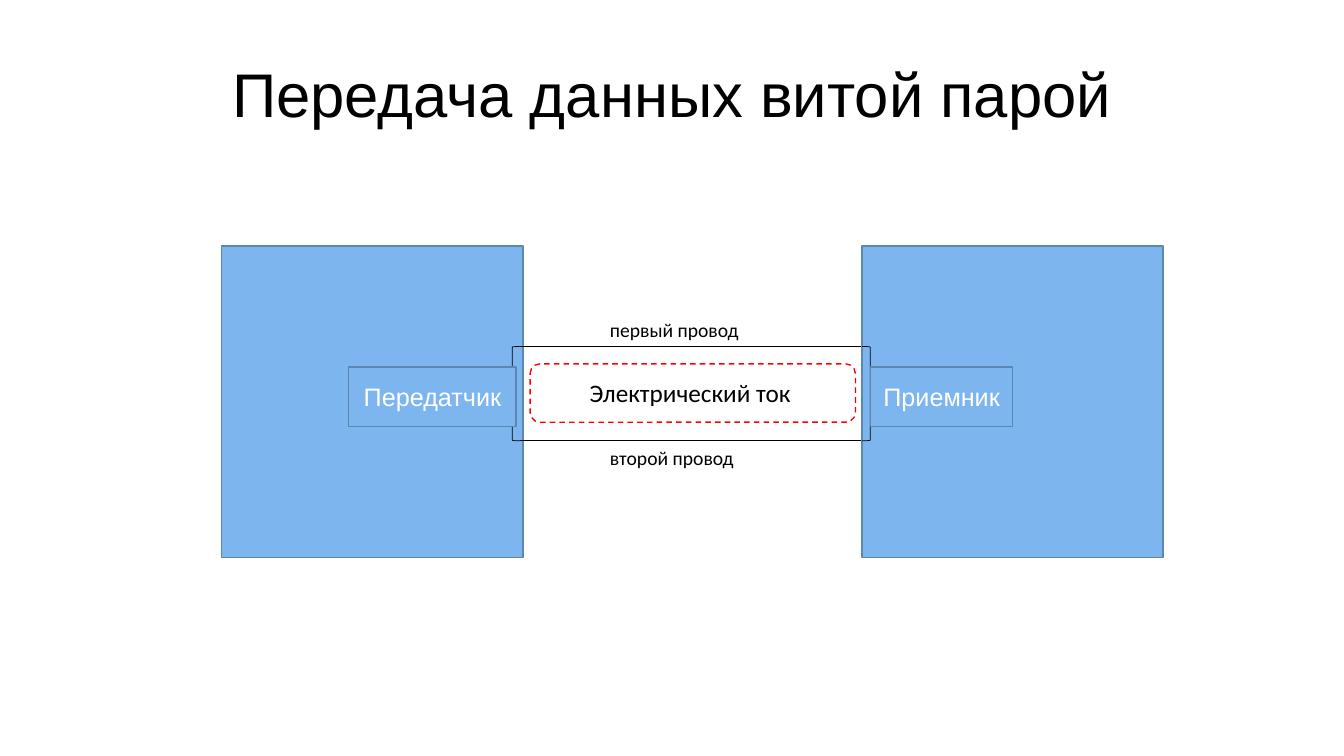
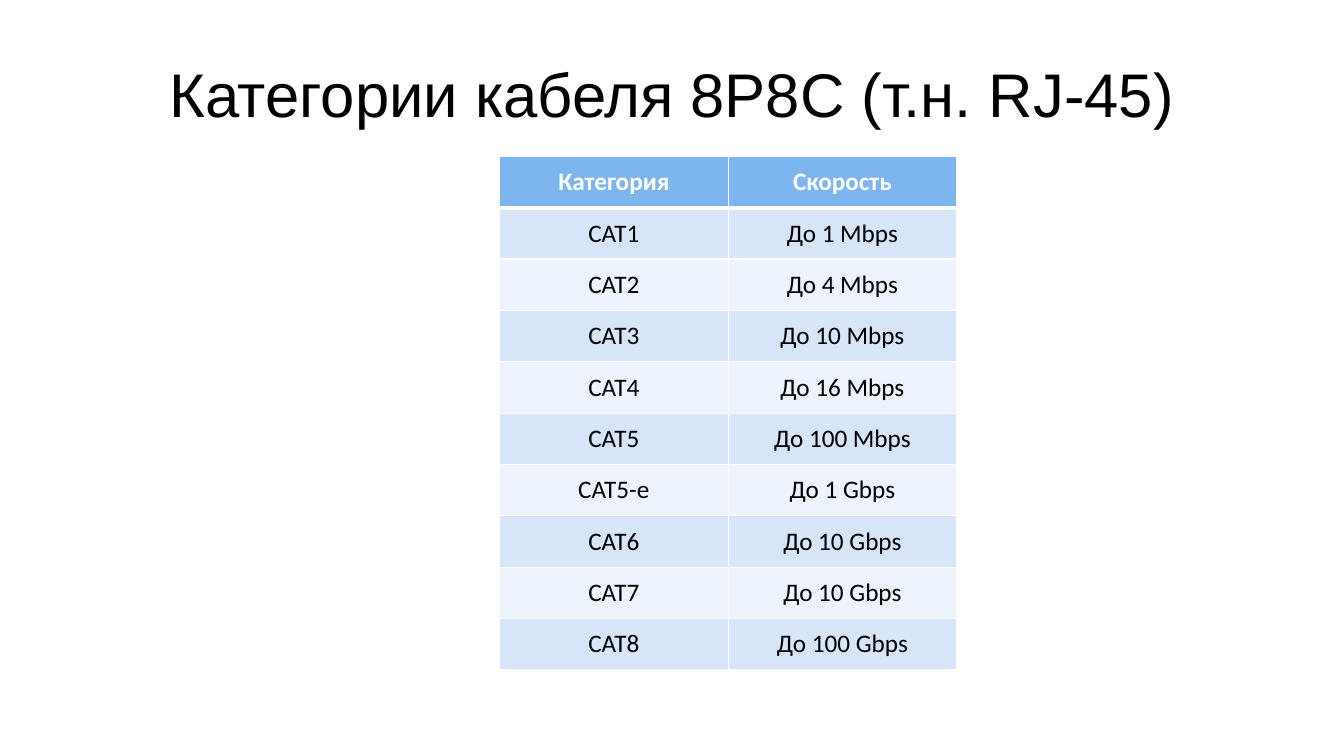
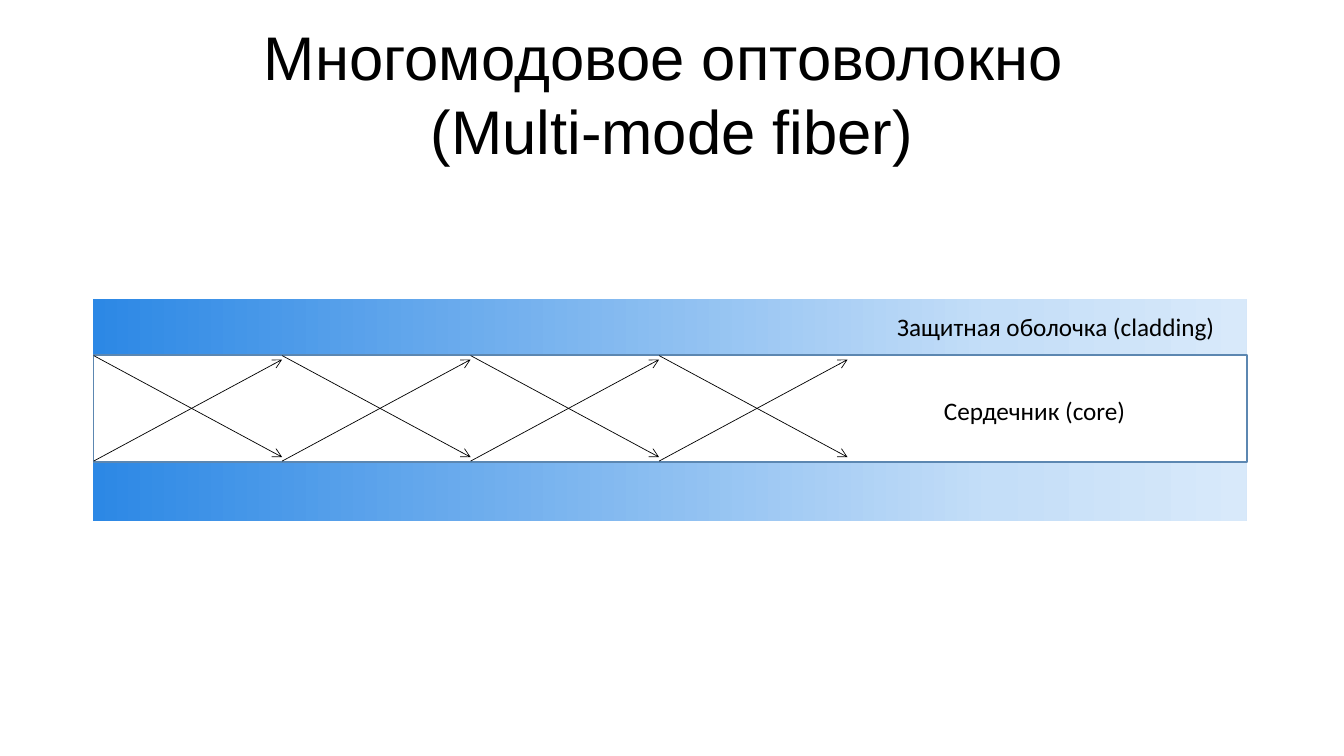
from copy import deepcopy
from lxml.etree import SubElement
from pptx import Presentation
from pptx.dml.color import RGBColor
from pptx.enum.dml import MSO_LINE
from pptx.enum.shapes import MSO_CONNECTOR, MSO_SHAPE as SHAPE
from pptx.enum.text import MSO_ANCHOR as ANCHOR, PP_ALIGN as ALIGN
from pptx.oxml.ns import qn
from pptx.util import Cm, Pt

BLACK = RGBColor(0x00, 0x00, 0x00)
WHITE = RGBColor(0xFF, 0xFF, 0xFF)
RED = RGBColor(0xFF, 0x00, 0x00)
BLUE = RGBColor(0x7D, 0xB6, 0xEF)
EDGE = RGBColor(0x5C, 0x87, 0xB1)
BAND_DARK = RGBColor(0xD7, 0xE5, 0xF9)
BAND_LIGHT = RGBColor(0xEC, 0xF3, 0xFC)
GRADIENT = [
    (0, RGBColor(0x2C, 0x88, 0xE5)),
    (0.78, RGBColor(0xC4, 0xDE, 0xF8)),
    (1, RGBColor(0xD8, 0xE9, 0xFA)),
]


def write(tf, text, size=18, font="Calibri", color=BLACK, bold=False,
          align=ALIGN.LEFT, anchor=ANCHOR.TOP):
    tf.word_wrap = True
    tf.vertical_anchor = anchor
    p = tf.paragraphs[0]
    p.text = text
    p.alignment = align
    for r in p.runs:
        r.font.size = Pt(size)
        r.font.name = font
        r.font.bold = bold
        r.font.color.rgb = color


def style(sp, line=BLACK, width=0.5, fill=None):
    if fill is not None:
        sp.fill.solid()
        sp.fill.fore_color.rgb = fill
    elif hasattr(sp, "fill"):
        sp.fill.background()
    sp.line.color.rgb = line
    sp.line.width = Pt(width)
    SubElement(sp._element.spPr, qn("a:effectLst"))
    return sp


prs = Presentation()
prs.slide_width = Cm(33.87)
prs.slide_height = Cm(19.05)

slides = []
for title in (
    "Передача данных витой парой",
    "Категории кабеля 8P8C (т.н. RJ-45)",
    "Многомодовое оптоволокно \v(Multi-mode fiber)",
):
    s = prs.slides.add_slide(prs.slide_layouts[6])
    sp = s.shapes.add_textbox(Cm(1.69), Cm(0.76), Cm(30.5), Cm(3.18))
    write(sp.text_frame, title, size=44, font="Arial", align=ALIGN.CENTER,
          anchor=ANCHOR.MIDDLE)
    slides.append(s)
pair_slide, table_slide, fiber_slide = slides

shapes = pair_slide.shapes
for x in (5.59, 21.72):
    sp = shapes.add_shape(SHAPE.RECTANGLE, Cm(x), Cm(6.2), Cm(7.59), Cm(7.85))
    style(sp, EDGE, 1, BLUE)

for y in (8.74, 11.1):
    style(shapes.add_connector(MSO_CONNECTOR.STRAIGHT, Cm(13.11), Cm(y), Cm(21.69), Cm(y)))

current = shapes.add_shape(SHAPE.ROUNDED_RECTANGLE, Cm(13.36), Cm(9.17), Cm(8.2), Cm(1.47))
style(current, RED, 1).line.dash_style = MSO_LINE.DASH

for text, x, y, w, h, size in (
    ("Электрический ток", 14.61, 9.39, 6.2, 1.02, 18),
    ("первый провод", 15.12, 7.88, 11, 0.86, 14),
    ("второй провод", 15.12, 11.1, 11, 0.86, 14),
):
    sp = shapes.add_textbox(Cm(x), Cm(y), Cm(w), Cm(h))
    write(sp.text_frame, text, size=size)

for text, x, w, bracket, bracket_x in (
    ("Передатчик", 8.79, 4.22, SHAPE.LEFT_BRACKET, 12.91),
    ("Приемник", 21.94, 3.58, SHAPE.RIGHT_BRACKET, 21.73),
):
    style(shapes.add_shape(bracket, Cm(bracket_x), Cm(8.73), Cm(0.2), Cm(2.38)))
    sp = shapes.add_shape(SHAPE.RECTANGLE, Cm(x), Cm(9.25), Cm(w), Cm(1.5))
    style(sp, EDGE, 1, BLUE)
    write(sp.text_frame, text, font="Arial", color=WHITE,
          align=ALIGN.CENTER, anchor=ANCHOR.MIDDLE)

rows = [
    ("Категория", "Скорость"),
    ("CAT1", "До 1 Mbps"),
    ("CAT2", "До 4 Mbps"),
    ("CAT3", "До 10 Mbps"),
    ("CAT4", "До 16 Mbps"),
    ("CAT5", "До 100 Mbps"),
    ("CAT5-e", "До 1 Gbps"),
    ("CAT6", "До 10 Gbps"),
    ("CAT7", "До 10 Gbps"),
    ("CAT8", "До 100 Gbps"),
]
table = table_slide.shapes.add_table(
    len(rows), 2, Cm(12.59), Cm(3.94), Cm(11.52), Cm(12.94)).table
for i, row in enumerate(rows):
    header = i == 0
    fill = BLUE if header else BAND_DARK if i % 2 else BAND_LIGHT
    for j, text in enumerate(row):
        cell = table.cell(i, j)
        write(cell.text_frame, text, color=WHITE if header else BLACK,
              bold=header, align=ALIGN.CENTER)
        cell.vertical_anchor = ANCHOR.MIDDLE
        tcPr = cell._tc.get_or_add_tcPr()
        for side in "LRTB":
            thick = (header and side == "B") or (i == 1 and side == "T")
            ln = SubElement(tcPr, qn(f"a:ln{side}"), w=str(Pt(3 if thick else 1)))
            SubElement(SubElement(ln, qn("a:solidFill")), qn("a:srgbClr"), val=str(WHITE))
        cell.fill.solid()
        cell.fill.fore_color.rgb = fill

shapes = fiber_slide.shapes
cladding = shapes.add_shape(SHAPE.RECTANGLE, Cm(2.34), Cm(7.53), Cm(29.08), Cm(5.59))
style(cladding).line.fill.background()
cladding.fill.gradient()
cladding.fill.gradient_angle = 0
stop_list = cladding._element.spPr.find(".//" + qn("a:gsLst"))
stop_list.append(deepcopy(stop_list[-1]))
for stop, (position, color) in zip(cladding.fill.gradient_stops, GRADIENT):
    stop.position = position
    stop.color.rgb = color

core = shapes.add_shape(SHAPE.RECTANGLE, Cm(2.36), Cm(8.95), Cm(29.07), Cm(2.69))
style(core, EDGE, 1, WHITE)

step = 4.75
for i in range(4):
    x = 2.36 + i * step
    for y1, y2 in ((11.62, 9.06), (8.96, 11.52)):
        ray = style(shapes.add_connector(
            MSO_CONNECTOR.STRAIGHT, Cm(x), Cm(y1), Cm(x + step), Cm(y2)))
        SubElement(ray.line._get_or_add_ln(), qn("a:tailEnd"), type="arrow")

for text, x, y, w in (
    ("Сердечник (core)", 23.54, 9.83, 5.8),
    ("Защитная оболочка (cladding)", 22.36, 7.72, 9),
):
    sp = shapes.add_textbox(Cm(x), Cm(y), Cm(w), Cm(1.02))
    write(sp.text_frame, text)

prs.save("out.pptx")
